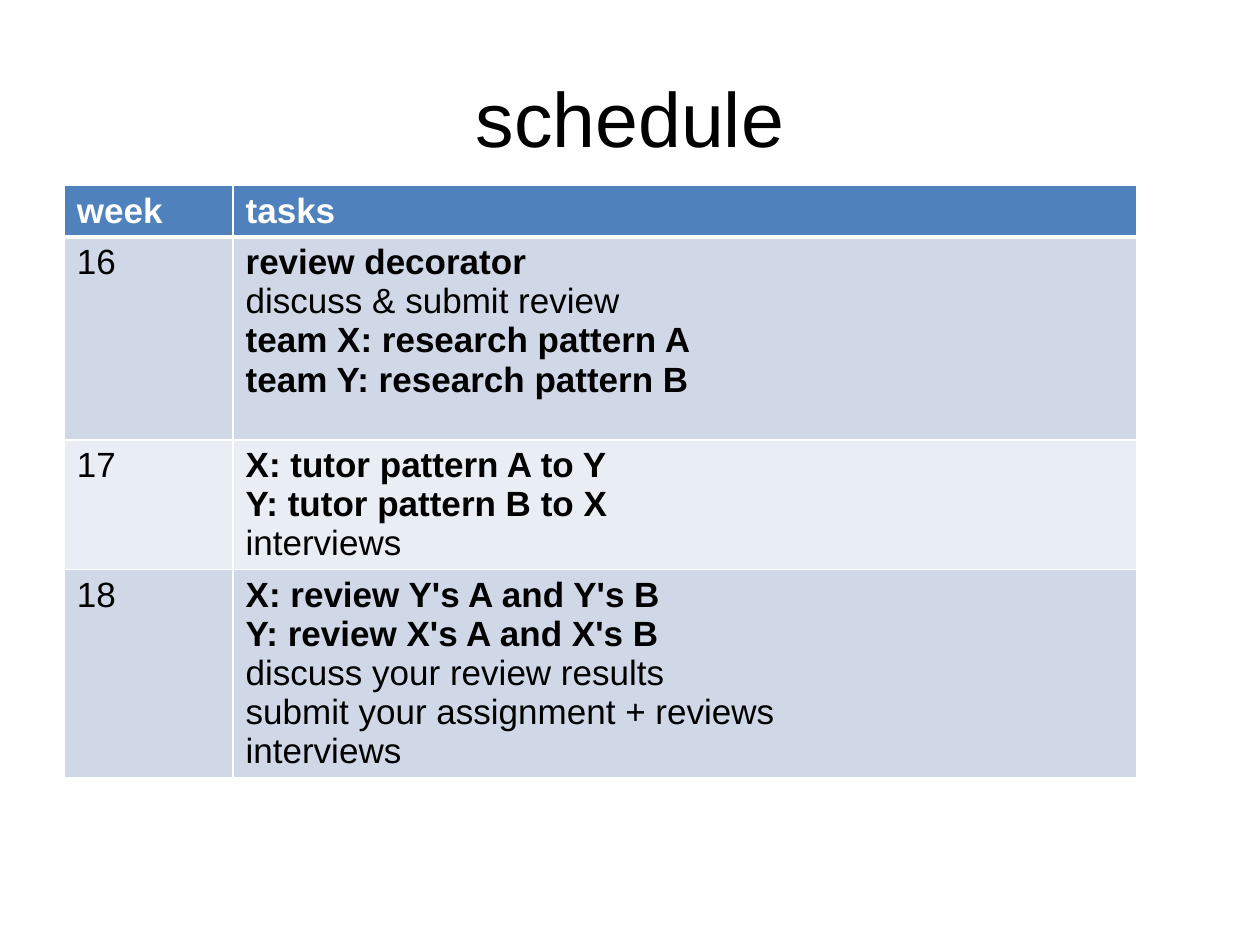
"""Build a course schedule slide with a table of weekly tasks."""
import pptx
import pptx.dml.color
import pptx.enum.text
import pptx.oxml.ns
import pptx.util
import lxml.etree

TITLE = "schedule"
HEADER = ("week", "tasks")
WEEKS = [
    ("16", [("review decorator", True),
            ("discuss & submit review", False),
            ("team X: research pattern A", True),
            ("team Y: research pattern B", True)]),
    ("17", [("X: tutor pattern A to Y", True),
            ("Y: tutor pattern B to X", True),
            ("interviews", False)]),
    ("18", [("X: review Y's A and Y's B", True),
            ("Y: review X's A and X's B", True),
            ("discuss your review results", False),
            ("submit your assignment + reviews", False),
            ("interviews", False)]),
]
THEME = {
    "font": "Arial", "title_size": 44, "table_size": 20,
    "text": "000000", "header_text": "FFFFFF", "border": "FFFFFF",
    "header": "4F81BD", "bands": ("D0D8E8", "E9EDF4"),
    "thin": 1, "thick": 3,
}
COLUMNS = (1.34, 7.17)
ROWS = (0.41, 1.61, 1.03, 1.65)
TABLE_LEFT, TABLE_TOP = 0.51, 1.47

inches = pptx.util.Inches


def write(frame, lines, size, color, align=pptx.enum.text.PP_ALIGN.LEFT):
    """Fill a text frame with one paragraph per (text, bold) line."""
    for index, (text, bold) in enumerate(lines):
        para = frame.add_paragraph() if index else frame.paragraphs[0]
        para.alignment = align
        span = para.add_run()
        span.text = text
        span.font.name = THEME["font"]
        span.font.size = pptx.util.Pt(size)
        span.font.bold = bold
        span.font.color.rgb = pptx.dml.color.RGBColor.from_string(color)


def draw_borders(cell, bottom):
    """Draw the four borders of a cell, the lower one with its own width."""
    properties = cell._tc.get_or_add_tcPr()
    qn = pptx.oxml.ns.qn
    for side in "LRTB":
        width = bottom if side == "B" else THEME["thin"]
        line = lxml.etree.SubElement(
            properties, qn("a:ln" + side), w=str(pptx.util.Pt(width)))
        fill = lxml.etree.SubElement(line, qn("a:solidFill"))
        lxml.etree.SubElement(fill, qn("a:srgbClr"), val=THEME["border"])


deck = pptx.Presentation()
deck.slide_width, deck.slide_height = inches(10), inches(7.5)
page = deck.slides.add_slide(deck.slide_layouts[5])

title = page.shapes.title
title.left, title.top = inches(0.5), inches(0.3)
title.width, title.height = inches(9), inches(1.25)
title.text_frame.vertical_anchor = pptx.enum.text.MSO_ANCHOR.MIDDLE
write(title.text_frame, [(TITLE, False)], THEME["title_size"], THEME["text"],
      pptx.enum.text.PP_ALIGN.CENTER)

table = page.shapes.add_table(
    len(ROWS), len(COLUMNS), inches(TABLE_LEFT), inches(TABLE_TOP),
    inches(sum(COLUMNS)), inches(sum(ROWS))).table
for column, width in zip(table.columns, COLUMNS):
    column.width = inches(width)
for row, height in zip(table.rows, ROWS):
    row.height = inches(height)

content = [[[(label, True)] for label in HEADER]]
content += [[[(week, False)], tasks] for week, tasks in WEEKS]
for row_index, cells in enumerate(content):
    is_header = row_index == 0
    band = THEME["header"] if is_header else THEME["bands"][(row_index - 1) % 2]
    color = THEME["header_text"] if is_header else THEME["text"]
    for column_index, lines in enumerate(cells):
        cell = table.cell(row_index, column_index)
        write(cell.text_frame, lines, THEME["table_size"], color)
        draw_borders(cell, THEME["thick"] if is_header else THEME["thin"])
        cell.fill.solid()
        cell.fill.fore_color.rgb = pptx.dml.color.RGBColor.from_string(band)

deck.save("out.pptx")
